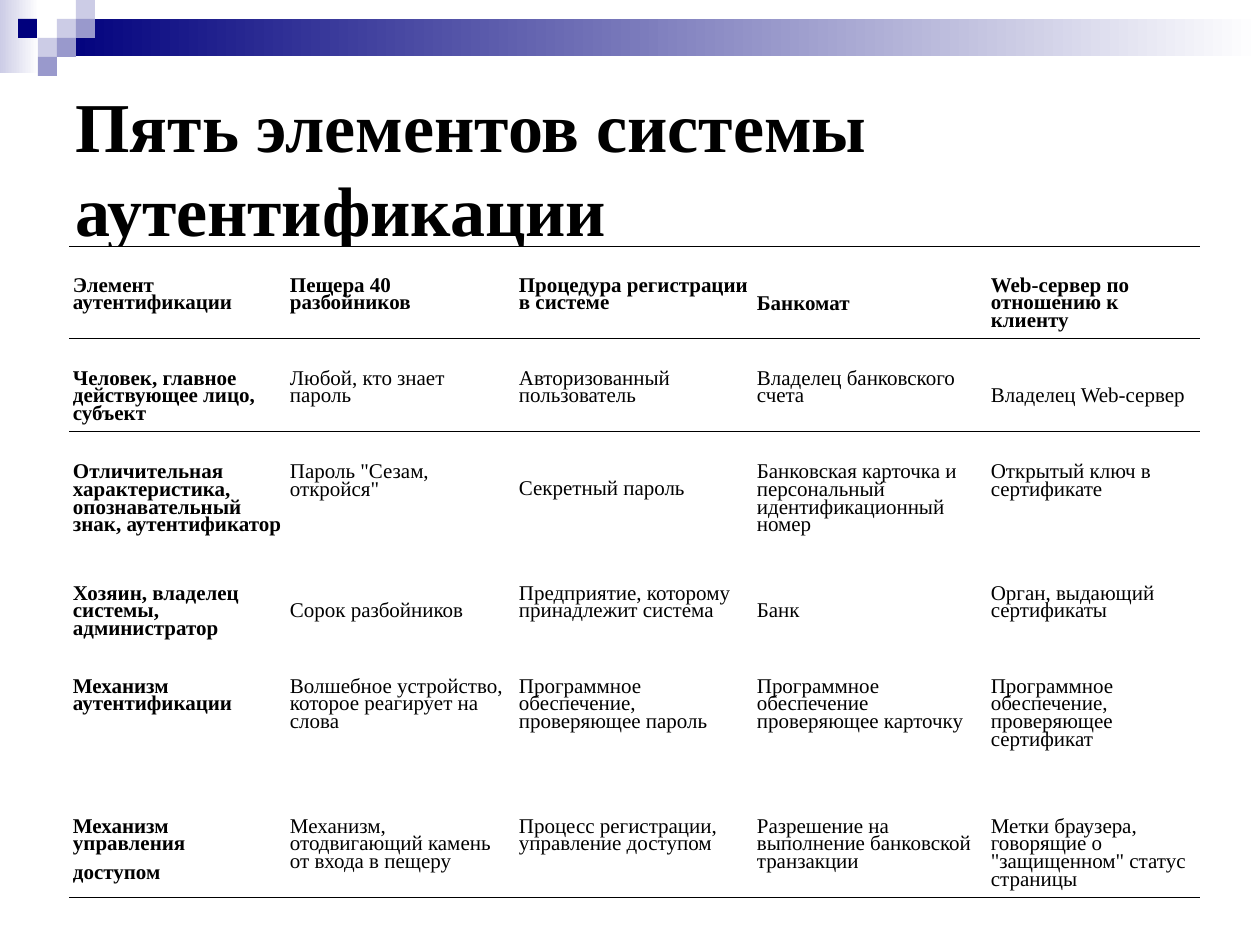
"""Build the slide about the five elements of an authentication system."""
from dataclasses import dataclass

from lxml import etree
from pptx import Presentation
from pptx import util as u
from pptx.dml.color import RGBColor
from pptx.enum import shapes, text
from pptx.oxml import ns

TITLE = "Пять элементов системы аутентификации"
ROWS = [
    (81, 9.9, ["Элемент аутентификации", "Пещера 40 разбойников",
               "Процедура регистрации в системе", "Банкомат",
               "Web-сервер по отношению к клиенту"]),
    (82, 10.2, ["Человек, главное действующее лицо, субъект", "Любой, кто знает пароль",
                "Авторизованный пользователь", "Владелец банковского счета",
                "Владелец Web-сервер"]),
    (122, 10.2, ["Отличительная характеристика, опознавательный знак, аутентификатор",
                 'Пароль "Сезам, откройся"', "Секретный пароль",
                 "Банковская карточка и персональный идентификационный номер",
                 "Открытый ключ в сертификате"]),
    (87, 10.1, ["Хозяин, владелец системы, администратор", "Сорок разбойников",
                "Предприятие, которому принадлежит система", "Банк",
                "Орган, выдающий сертификаты"]),
    (140, 10.1, ["Механизм аутентификации", "Волшебное устройство, которое реагирует на слова",
                 "Программное обеспечение, проверяющее пароль",
                 "Программное обеспечение проверяющее карточку",
                 "Программное обеспечение, проверяющее сертификат"]),
    (104, 10.1, ["Механизм управления\nдоступом",
                 "Механизм, отодвигающий камень от входа в пещеру",
                 "Процесс регистрации, управление доступом",
                 "Разрешение на выполнение банковской транзакции",
                 'Метки браузера, говорящие о "защищенном" статус страницы']),
]
LOOSE = {"Банкомат", "Владелец Web-сервер", "Секретный пароль", "Сорок разбойников", "Банк"}
COLUMNS = [217, 229, 238, 234, 213]
TABLE_LEFT, TABLE_TOP = 69, 246
INSET_X, INSET_BOTTOM = 4, 6
TIGHT_TOP, LOOSE_TOP = 34, 42
TILE = 19
NO_STYLE = "{2D5ABB26-0587-4C30-8999-92F81FD0307C}"


@dataclass(frozen=True)
class Theme:
    font: str = "Times New Roman"
    ink: str = "000000"
    paper: str = "FFFFFF"
    navy: str = "00007D"
    violet: str = "9999CC"
    lilac: str = "CCCCE6"
    title_size: int = 40
    cell_size: int = 12
    rule_width: float = 0.45


THEME = Theme()
BANDS = [((0, 0, 39, 73), THEME.lilac), ((57, 19, 1203, 37), THEME.navy)]
TILES = [(57, 19, THEME.lilac), (76, 0, THEME.lilac), (76, 19, THEME.violet),
         (38, 38, THEME.lilac), (18, 19, THEME.navy), (57, 38, THEME.violet),
         (38, 57, THEME.violet)]


def px(length):
    return u.Emu(length * 914400 // 126)


def rgb(code):
    return RGBColor.from_string(code)


def set_font(paragraph, size, bold):
    for run in paragraph.runs:
        run.font.name = THEME.font
        run.font.size = u.Pt(size)
        run.font.bold = bold
        run.font.color.rgb = rgb(THEME.ink)


def add_block(slide, box, colour, fade=False):
    block = slide.shapes.add_shape(shapes.MSO_SHAPE.RECTANGLE, *map(px, box))
    block.shadow.inherit = False
    block.line.fill.background()
    if fade:
        block.fill.gradient()
        block.fill.gradient_angle = 0
        for stop, code in zip(block.fill.gradient_stops, (colour, THEME.paper)):
            stop.color.rgb = rgb(code)
    else:
        block.fill.solid()
        block.fill.fore_color.rgb = rgb(colour)


def add_rules(cell, sides):
    properties = cell._tc.get_or_add_tcPr()
    for index, side in enumerate(sides):
        rule = etree.Element(ns.qn(f"a:ln{side}"), w=str(u.Pt(THEME.rule_width)))
        fill = etree.SubElement(rule, ns.qn("a:solidFill"))
        etree.SubElement(fill, ns.qn("a:srgbClr"), val=THEME.ink)
        properties.insert(index, rule)


def fill_cell(cell, wording, spacing, bold):
    loose = wording in LOOSE
    cell.margin_left = cell.margin_right = px(INSET_X)
    cell.margin_top = px(LOOSE_TOP if loose else TIGHT_TOP)
    cell.margin_bottom = px(INSET_BOTTOM)
    cell.fill.solid()
    cell.fill.fore_color.rgb = rgb(THEME.paper)
    cell.text_frame.text = wording
    for index, paragraph in enumerate(cell.text_frame.paragraphs):
        paragraph.line_spacing = 1.15 if loose else u.Pt(spacing)
        paragraph.space_before = u.Pt(6 if index else 0)
        set_font(paragraph, THEME.cell_size, bold)


def add_elements(slide):
    heights = [height for height, _, _ in ROWS]
    frame = slide.shapes.add_table(len(ROWS), len(COLUMNS), px(TABLE_LEFT), px(TABLE_TOP),
                                   px(sum(COLUMNS)), px(sum(heights)))
    elements = frame.table
    elements.first_row = elements.horz_banding = False
    elements._tbl.tblPr.find(ns.qn("a:tableStyleId")).text = NO_STYLE
    for column, width in zip(elements.columns, COLUMNS):
        column.width = px(width)
    rules = {0: "TB", 1: "T", len(ROWS) - 1: "B"}
    for r, (height, spacing, wordings) in enumerate(ROWS):
        elements.rows[r].height = px(height)
        for c, wording in enumerate(wordings):
            cell = elements.cell(r, c)
            fill_cell(cell, wording, spacing, bold=r == 0 or c == 0)
            add_rules(cell, rules.get(r, ""))


def main():
    deck = Presentation()
    deck.slide_width, deck.slide_height = px(1260), px(945)
    slide = deck.slides.add_slide(deck.slide_layouts[5])
    for box, colour in BANDS:
        add_block(slide, box, colour, fade=True)
    for left, top, colour in TILES:
        add_block(slide, (left, top, TILE, TILE), colour)

    title = slide.shapes.title
    title.left, title.top, title.width, title.height = map(px, (63, 88, 1134, 158))
    title.text_frame.text = TITLE
    title.text_frame.word_wrap = True
    title.text_frame.auto_size = text.MSO_AUTO_SIZE.NONE
    title.text_frame.vertical_anchor = text.MSO_ANCHOR.MIDDLE
    heading = title.text_frame.paragraphs[0]
    heading.alignment = text.PP_ALIGN.LEFT
    set_font(heading, THEME.title_size, True)
    add_elements(slide)
    deck.save("out.pptx")


if __name__ == "__main__":
    main()
